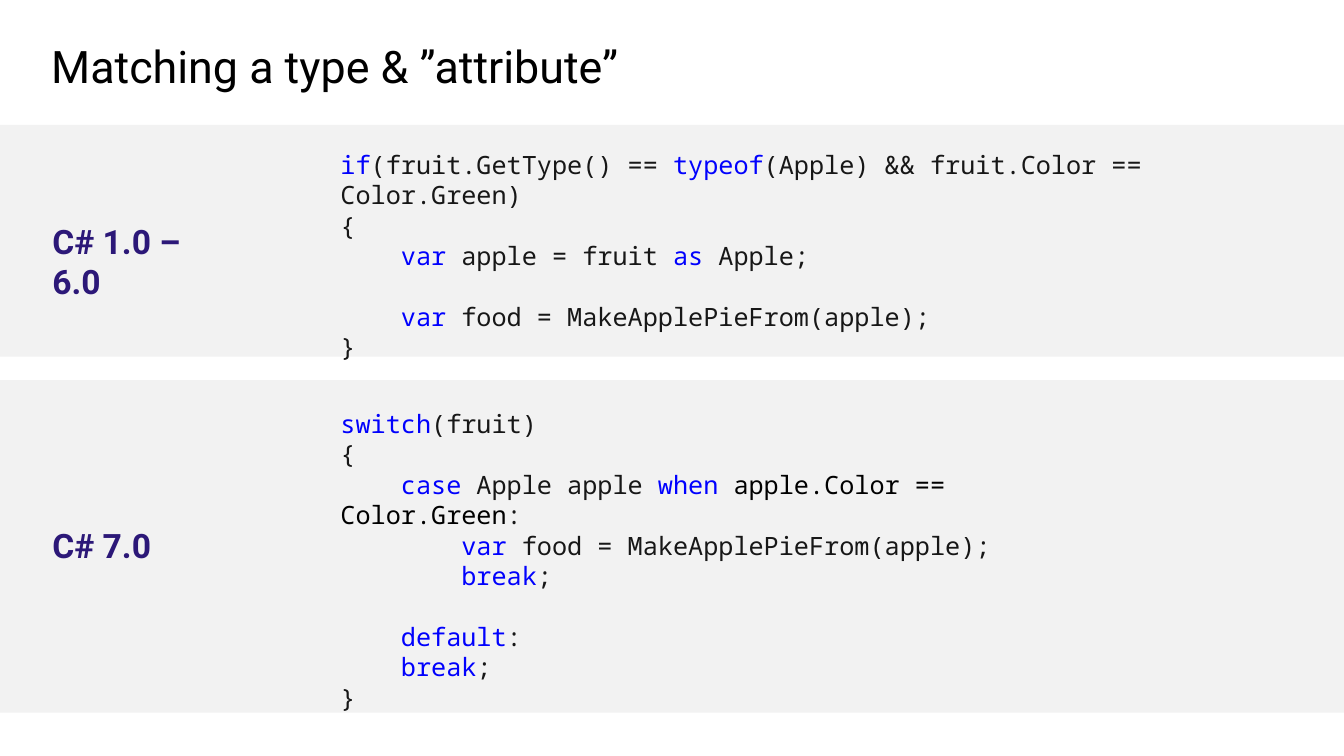
from pptx import Presentation
from pptx.dml.color import RGBColor
from pptx.enum.shapes import MSO_SHAPE
from pptx.util import Cm, Pt

BAND_GREY = RGBColor(0xF2, 0xF2, 0xF2)
KEYWORD = RGBColor(0x01, 0x01, 0xFD)
BLUE = RGBColor(0x00, 0x00, 0xFF)
CODE = RGBColor(0x17, 0x17, 0x17)
BLACK = RGBColor(0x00, 0x00, 0x00)
VIOLET = RGBColor(0x2C, 0x18, 0x78)

SLIDE_WIDTH, SLIDE_HEIGHT = Cm(33.87), Cm(19.05)
CODE_LEFT = Cm(8.33)
LABEL_LEFT, LABEL_WIDTH, LABEL_HEIGHT = Cm(1.07), Cm(4.5), Cm(1.27)
CODE_LINE = Pt(21.7)

# Each line is a list of (text, colour); an empty line is a gap in the code
TYPE_CHECK = [
    [("if", KEYWORD), ("(fruit.GetType() == ", CODE), ("typeof", KEYWORD),
     ("(Apple) && fruit.Color == Color.Green)", CODE)],
    [("{", CODE)],
    [("    var", KEYWORD), (" apple = fruit ", CODE), ("as", KEYWORD), (" Apple;", CODE)],
    [],
    [("    var", BLUE), (" food = MakeApplePieFrom(apple);", CODE)],
    [("}", CODE)],
]
PATTERN_SWITCH = [
    [("switch", KEYWORD), ("(fruit)", CODE)],
    [("{", CODE)],
    [("    case", KEYWORD), (" Apple apple ", CODE), ("when ", BLUE),
     ("apple.Color == Color.Green", BLACK), (":", CODE)],
    [("        var", BLUE), (" food = MakeApplePieFrom(apple);", CODE)],
    [("        break", KEYWORD), (";", CODE)],
    [],
    [("    default", KEYWORD), (":", CODE)],
    [("    break", KEYWORD), (";", CODE)],
    [("}", CODE)],
]


def add_band(slide, top, height):
    band = slide.shapes.add_shape(MSO_SHAPE.RECTANGLE, 0, top, SLIDE_WIDTH, height)
    band.shadow.inherit = False
    band.fill.solid()
    band.fill.fore_color.rgb = BAND_GREY
    band.line.fill.background()


def add_frame(slide, left, top, width, height):
    frame = slide.shapes.add_textbox(left, top, width, height).text_frame
    frame.word_wrap = True
    return frame


def add_heading(slide, text, left, top, width, height, size, color, bold=False):
    heading = add_frame(slide, left, top, width, height).paragraphs[0]
    heading.text = text
    heading.font.name = "Roboto"
    heading.font.size = size
    heading.font.bold = bold
    heading.font.color.rgb = color


def add_code(slide, lines, top, width, height):
    frame = add_frame(slide, CODE_LEFT, top, width, height)
    gap = 0
    for number, line in enumerate(lines):
        if not line:
            gap = CODE_LINE
            continue
        paragraph = frame.add_paragraph() if number else frame.paragraphs[0]
        paragraph.line_spacing = CODE_LINE
        if gap:
            paragraph.space_before = gap
            gap = 0
        paragraph.font.name = "Noto Sans Mono"
        paragraph.font.size = Pt(18)
        for text, color in line:
            token = paragraph.add_run()
            token.text = text
            token.font.color.rgb = color


def add_version(slide, label, label_top):
    add_heading(slide, label, LABEL_LEFT, label_top, LABEL_WIDTH, LABEL_HEIGHT,
                Pt(24), VIOLET, bold=True)


def main():
    deck = Presentation()
    deck.slide_width, deck.slide_height = SLIDE_WIDTH, SLIDE_HEIGHT
    slide = deck.slides.add_slide(deck.slide_layouts[6])

    # Title
    add_heading(slide, "Matching a type & ”attribute”",
                Cm(1.04), Cm(0.86), Cm(17.15), Cm(1.63), Pt(32), BLACK)

    # Older versions
    add_band(slide, Cm(3.15), Cm(5.84))
    add_code(slide, TYPE_CHECK, Cm(3.63), Cm(24.46), Cm(4.88))
    add_version(slide, "C# 1.0 – 6.0", Cm(5.44))

    # Pattern matching version
    add_band(slide, Cm(9.58), Cm(8.38))
    add_code(slide, PATTERN_SWITCH, Cm(10.16), Cm(20.19), Cm(7.19))
    add_version(slide, "C# 7.0", Cm(13.11))

    deck.save("out.pptx")


if __name__ == "__main__":
    main()
